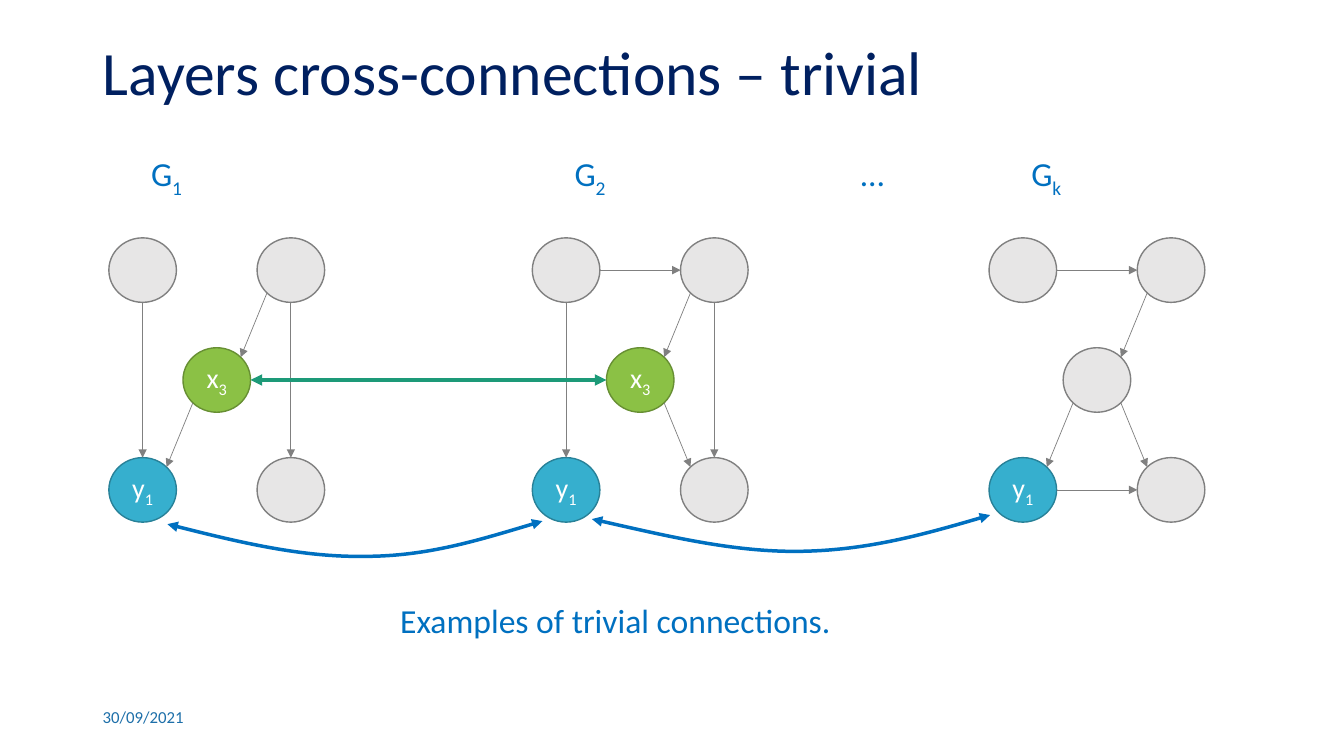
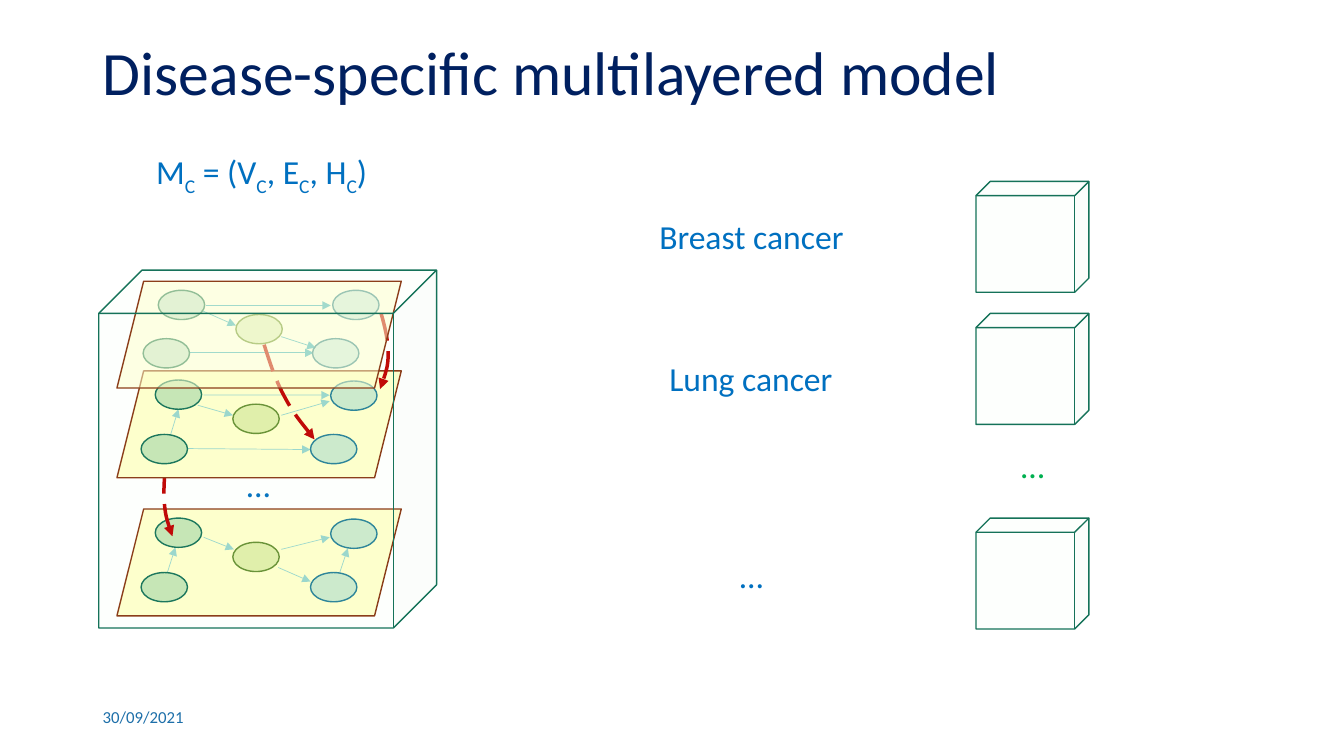
from dataclasses import dataclass
from math import sqrt

from pptx import Presentation
from pptx.dml.color import RGBColor
from pptx.enum.dml import MSO_LINE
from pptx.enum.shapes import MSO_CONNECTOR, MSO_SHAPE
from pptx.enum.text import MSO_ANCHOR, MSO_AUTO_SIZE, PP_ALIGN
from pptx.oxml.ns import qn
from pptx.oxml.xmlchemy import OxmlElement
from pptx.util import Emu, Pt

PX = 9144
FONT = "Calibri"
COLORS = {
    "title": "002060", "blue": "0070C0", "date": "1D6FA9", "white": "FFFFFF",
    "grey": "E7E6E6", "grey_line": "808080", "green": "8BC145", "green_line": "678F33",
    "cyan": "36AFCE", "cyan_line": "288198", "teal": "1D9A78", "teal_line": "157259",
    "mint": "CCFFCC", "cream": "FFFFCC", "brown": "893713", "red": "C00000",
    "bright_green": "00B050",
}
NODE_W, NODE_H = 67, 64
GRAPH_SPAN, ROW_STEP, GRAPH_TOP = 147, 109, 236
SLOTS = {"a": (0, 0), "b": (2, 0), "c": (1, 1), "d": (0, 2), "e": (2, 2)}
SLOT_HUES = {"c": "green", "d": "cyan"}
Point = tuple[int, int]


@dataclass(frozen=True)
class Graph:
    """One layer graph: name, left edge, shared nodes by slot, edges by slot pair."""
    name: str
    left: int
    name_w: int
    shared: dict[str, str]
    edges: str


@dataclass(frozen=True)
class Layer:
    """One plane of the model, with places measured from its top."""
    top: int
    nodes: tuple[Point, ...]
    edges: tuple[tuple[int, int, int, int], ...]
    edge_alpha: int = 50
    plane_alpha: int = 100


GRAPHS = (
    Graph("G|1|", 108, 53, {"c": "x|3|", "d": "y|1|"}, "ad bc be cd"),
    Graph("G|2|", 528, 53, {"c": "x|3|", "d": "y|1|"}, "ad bc be ce ab"),
    Graph("G|k|", 981, 52, {"d": "y|1|"}, "cd bc de ab ce"),
)
NODE_HUES = ("teal", "teal", "green", "cyan", "cyan")
LOWER_NODES = ((154, 9), (140, 63), (231, 33), (328, 10), (308, 63))
UPPER_NODES = ((157, 9), (142, 57), (234, 33), (330, 9), (310, 57))
BOTTOM = Layer(505, LOWER_NODES, (
    (166, 63, 174, 38), (202, 28, 232, 40), (279, 40, 327, 28),
    (276, 58, 308, 72), (337, 63, 345, 39)))
MIDDLE = Layer(368, LOWER_NODES, (
    (202, 24, 327, 24), (186, 77, 308, 78), (169, 64, 177, 38),
    (196, 34, 231, 44), (279, 44, 327, 30)))
TOP = Layer(279, UPPER_NODES, (
    (200, 29, 234, 44), (279, 55, 313, 66), (204, 24, 328, 24),
    (187, 71, 311, 71)), 100, 53)


def rgb(name: str) -> RGBColor:
    """Look up a palette colour."""
    return RGBColor.from_string(COLORS[name])


def px(*values: float) -> list[Emu]:
    """Turn px lengths into EMU."""
    return [Emu(round(v * PX)) for v in values]


def set_alpha(holder, percent: int) -> None:
    """Make the solid fill inside an element partly transparent."""
    if percent < 100:
        alpha = OxmlElement("a:alpha")
        alpha.set("val", str(percent * 1000))
        holder.find(qn("a:solidFill"))[0].append(alpha)


def write(tf, text: str, *, size: int = 24, color: str = "blue",
          align=PP_ALIGN.LEFT, anchor=MSO_ANCHOR.TOP, wrap: bool = True,
          fit=MSO_AUTO_SIZE.NONE, spacing: float = 1.0) -> None:
    """Write one paragraph; parts between bars are subscripts."""
    tf.word_wrap, tf.auto_size, tf.vertical_anchor = wrap, fit, anchor
    p = tf.paragraphs[0]
    p.alignment, p.line_spacing = align, spacing
    for i, part in enumerate(text.split("|")):
        if part:
            r = p.add_run()
            r.text = part
            r.font.name, r.font.size = FONT, Pt(size)
            r.font.color.rgb = rgb(color)
            if i % 2:
                r.font._element.set("baseline", "-25000")


def label(s, text: str, x: int, y: int, w: int, color: str = "blue") -> None:
    """Add an unwrapped text box that fits its text."""
    sp = s.shapes.add_textbox(*px(x, y, w, 50))
    write(sp.text_frame, text, color=color, wrap=False,
          fit=MSO_AUTO_SIZE.SHAPE_TO_FIT_TEXT)


def shape(s, kind, x: float, y: float, w: int, h: int, fill: str, line: str,
          alpha: int = 100):
    """Add a filled preset shape with a thin outline."""
    sp = s.shapes.add_shape(kind, *px(x, y, w, h))
    sp.shadow.inherit = False
    sp.fill.solid()
    sp.fill.fore_color.rgb = rgb(fill)
    set_alpha(sp.element.spPr, alpha)
    sp.line.color.rgb, sp.line.width = rgb(line), Pt(1)
    return sp


def stroke(sp, color: str, width: float, alpha: int = 100, both: bool = False,
           dash=None) -> None:
    """Format a line and give it arrowheads."""
    sp.line.color.rgb, sp.line.width = rgb(color), Pt(width)
    if dash:
        sp.line.dash_style = dash
    ln = sp.element.spPr.find(qn("a:ln"))
    set_alpha(ln, alpha)
    for tag in ("a:headEnd", "a:tailEnd") if both else ("a:tailEnd",):
        end = OxmlElement(tag)
        end.set("type", "triangle")
        ln.append(end)


def arrow(s, x1: float, y1: float, x2: float, y2: float, color: str = "grey_line",
          width: float = 0.5, alpha: int = 100, both: bool = False) -> None:
    """Add a straight arrow."""
    cx = s.shapes.add_connector(MSO_CONNECTOR.STRAIGHT, *px(x1, y1, x2, y2))
    stroke(cx, color, width, alpha, both)
    cx.element.spPr.append(OxmlElement("a:effectLst"))


def curve(s, points: tuple[Point, ...], color: str, both: bool = False,
          dash=None) -> None:
    """Add an open cubic curve: a start, then three points for each piece."""
    fb = s.shapes.build_freeform(*points[0], scale=PX)
    fb.add_line_segments(points[1:], close=False)
    sp = fb.convert_to_shape()
    steps = list(sp.element.iter(qn("a:lnTo")))
    for i in range(0, len(steps), 3):
        bezier = OxmlElement("a:cubicBezTo")
        steps[i].addprevious(bezier)
        for step in steps[i:i + 3]:
            bezier.append(step[0])
            step.getparent().remove(step)
    sp.shadow.inherit = False
    sp.fill.background()
    stroke(sp, color, 2.5, both=both, dash=dash)


def center(graph: Graph, slot: str) -> tuple[float, float]:
    """Find the middle of a graph node."""
    col, row = SLOTS[slot]
    return (graph.left + col * GRAPH_SPAN / 2 + NODE_W / 2,
            GRAPH_TOP + row * ROW_STEP + NODE_H / 2)


def link(s, start: tuple[float, float], end: tuple[float, float], **style) -> None:
    """Join two nodes at the rim points that face each other."""
    (x1, y1), (x2, y2) = start, end
    sx, sy = (x2 > x1) - (x2 < x1), (y2 > y1) - (y2 < y1)
    reach = 1 / sqrt(2) if sx and sy else 1
    dx, dy = sx * reach * NODE_W / 2, sy * reach * NODE_H / 2
    arrow(s, x1 + dx, y1 + dy, x2 - dx, y2 - dy, **style)


def draw_graph(s, graph: Graph) -> None:
    """Draw a graph with its name."""
    label(s, graph.name, graph.left + 32, 147, graph.name_w)
    for slot in SLOTS:
        text = graph.shared.get(slot)
        hue = SLOT_HUES[slot] if text else "grey"
        x, y = center(graph, slot)
        sp = shape(s, MSO_SHAPE.OVAL, x - NODE_W / 2, y - NODE_H / 2, NODE_W, NODE_H,
                   hue, f"{hue}_line")
        if text:
            tf = sp.text_frame
            tf.margin_left = tf.margin_right = tf.margin_top = tf.margin_bottom = 0
            write(tf, text, size=20, color="white", align=PP_ALIGN.CENTER,
                  anchor=MSO_ANCHOR.MIDDLE)
    for start, end in graph.edges.split():
        link(s, center(graph, start), center(graph, end))


def draw_plane(s, layer: Layer) -> None:
    """Draw the sheet of a layer."""
    shape(s, MSO_SHAPE.PARALLELOGRAM, 116, layer.top, 282, 106, "cream", "brown",
          layer.plane_alpha)


def draw_network(s, layer: Layer) -> None:
    """Draw the arrows and nodes of a layer."""
    for x1, y1, x2, y2 in layer.edges:
        arrow(s, x1, layer.top + y1, x2, layer.top + y2, "cyan", alpha=layer.edge_alpha)
    for (x, y), hue in zip(layer.nodes, NODE_HUES):
        shape(s, MSO_SHAPE.OVAL, x, layer.top + y, 46, 29, hue, f"{hue}_line", 25)


def cube(s, x: int, y: int, w: int, h: int) -> None:
    """Draw a nearly clear cube."""
    sp = shape(s, MSO_SHAPE.CUBE, x, y, w, h, "mint", "teal_line", 4)
    sp.adjustments[0] = 0.128


def new_slide(prs, title: str):
    """Add a slide with its title and date."""
    s = prs.slides.add_slide(prs.slide_layouts[5])
    sp = s.shapes.title
    sp.left, sp.top, sp.width, sp.height = px(92, 36, 1150, 77)
    write(sp.text_frame, title, size=44, color="title", anchor=MSO_ANCHOR.MIDDLE,
          spacing=0.9)
    date = s.shapes.add_textbox(*px(92, 695, 300, 33))
    write(date.text_frame, "30/09/2021", size=12, color="date",
          anchor=MSO_ANCHOR.MIDDLE)
    return s


def connections_slide(prs) -> None:
    """Build the slide on trivial cross-connections."""
    s = new_slide(prs, "Layers cross-connections – trivial")
    for graph in GRAPHS:
        draw_graph(s, graph)
    label(s, "…", 844, 147, 44)
    link(s, center(GRAPHS[0], "c"), center(GRAPHS[1], "c"), color="teal", width=2.75,
         both=True)
    label(s, "Examples of trivial connections.", 387, 590, 451)
    for points in (
        ((166, 520), (233, 537), (300, 553), (362, 552), (424, 552), (481, 534), (538, 517)),
        ((587, 515), (658, 531), (729, 548), (794, 547), (860, 546), (921, 529), (982, 511)),
    ):
        curve(s, points, "blue", both=True)


def model_slide(prs) -> None:
    """Build the slide on the multilayered model."""
    s = new_slide(prs, "Disease-specific multilayered model")
    label(s, "M|C| = (V|C|, E|C|, H|C|)", 145, 145, 237)
    for y in (180, 311, 514):
        cube(s, 968, y, 112, 110)
    label(s, "…", 1003, 436, 44, "bright_green")
    for text, x, y, w in (("Breast cancer", 644, 209, 205),
                          ("Lung cancer", 654, 350, 184), ("…", 724, 546, 44)):
        label(s, text, x, y, w)
    dash = MSO_LINE.LONG_DASH
    draw_plane(s, BOTTOM)
    draw_network(s, BOTTOM)
    curve(s, ((164, 462), (163, 475), (162, 488), (163, 499), (164, 511), (167, 521),
              (171, 532)), "red", dash=dash)
    draw_plane(s, MIDDLE)
    draw_network(s, MIDDLE)
    label(s, "…", 235, 455, 44)
    draw_network(s, TOP)
    for points in (
        ((378, 311), (382, 325), (385, 338), (385, 351), (385, 363), (381, 375), (377, 386)),
        ((262, 342), (268, 361), (274, 379), (283, 395), (291, 410), (302, 423), (312, 436)),
    ):
        curve(s, points, "red", dash=dash)
    draw_plane(s, TOP)
    cube(s, 98, 268, 335, 355)


def main() -> None:
    """Build and save the presentation."""
    prs = Presentation()
    prs.slide_width, prs.slide_height = px(1333, 750)
    connections_slide(prs)
    model_slide(prs)
    prs.save("out.pptx")


if __name__ == "__main__":
    main()
